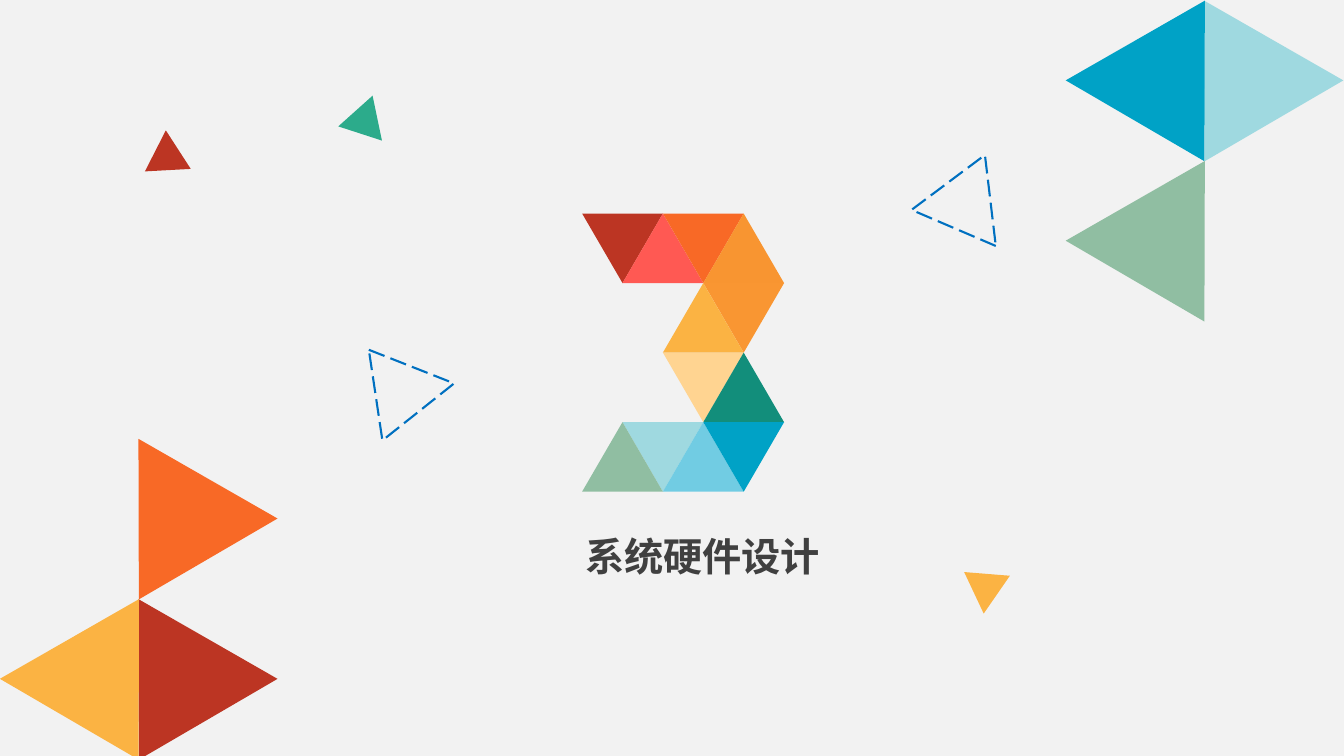
from pptx import Presentation
from pptx.dml.color import RGBColor
from pptx.enum.dml import MSO_LINE
from pptx.enum.shapes import MSO_SHAPE
from pptx.enum.text import MSO_ANCHOR, MSO_AUTO_SIZE, PP_ALIGN
from pptx.oxml.ns import qn
from pptx.util import Cm, Pt
from lxml import etree

TRIANGLE = MSO_SHAPE.ISOSCELES_TRIANGLE
LONG_DASH = MSO_LINE.LONG_DASH
TOP = MSO_ANCHOR.TOP
NO_FIT = MSO_AUTO_SIZE.NONE
CENTER = PP_ALIGN.CENTER
FONT = "Noto Sans CJK SC"

PAPER = RGBColor(0xF2, 0xF2, 0xF2)
INK = RGBColor(0x40, 0x40, 0x40)
BRICK = RGBColor(0xBC, 0x35, 0x23)
CORAL = RGBColor(0xFF, 0x59, 0x53)
ORANGE = RGBColor(0xF8, 0x69, 0x26)
TANGERINE = RGBColor(0xF8, 0x95, 0x31)
APRICOT = RGBColor(0xF9, 0x96, 0x32)
AMBER = RGBColor(0xFB, 0xB3, 0x43)
SAND = RGBColor(0xFF, 0xD4, 0x91)
TEAL = RGBColor(0x12, 0x8E, 0x7B)
GREEN = RGBColor(0x2C, 0xAB, 0x8B)
SAGE = RGBColor(0x90, 0xBE, 0xA2)
ICE = RGBColor(0x9F, 0xD9, 0xE0)
SKY = RGBColor(0x71, 0xCC, 0xE3)
CYAN = RGBColor(0x00, 0xA2, 0xC6)
BLUE = RGBColor(0x00, 0x70, 0xC0)

NUMERAL = [
    (0, 0, 180, BRICK), (0, 1, 0, CORAL), (0, 2, 180, ORANGE), (0, 3, 0, TANGERINE),
    (1, 3, 180, APRICOT), (1, 2, 0, AMBER),
    (2, 2, 180, SAND), (2, 3, 0, TEAL),
    (3, 1, 180, ICE), (3, 0, 0, SAGE), (3, 2, 0, SKY), (3, 3, 180, CYAN),
]
RIGHT_CLUSTER = [(1, 0, ICE), (0, 0, CYAN), (0, 1, SAGE)]
LEFT_CLUSTER = [(1, 1, BRICK), (0, 1, AMBER), (1, 0, ORANGE)]
CONFETTI = [
    (3.78, 3.53, 117, BRICK), (8.71, 2.67, 138.1, GREEN), (24.13, 14.2, 304.7, AMBER),
]
OUTLINES = [(9.3, 8.81, 81.5), (22.81, 4.17, 263.2)]


def add_triangle(page, left, top, width, height, angle=0, fill=None, line=None):
    """Add one triangle, filled or with a dashed outline."""
    shape = page.shapes.add_shape(TRIANGLE, Cm(left), Cm(top), Cm(width), Cm(height))
    shape.shadow.inherit = False
    shape.rotation = angle
    if fill is None:
        shape.fill.background()
    else:
        shape.fill.solid()
        shape.fill.fore_color.rgb = fill
    if line is None:
        shape.line.fill.background()
    else:
        shape.line.color.rgb = line
        shape.line.width = Pt(1.5)
        shape.line.dash_style = LONG_DASH


def write_text(frame, text, size, color, bold=False, align=CENTER):
    """Write one formatted paragraph into a text frame."""
    para = frame.paragraphs[0]
    para.alignment = align
    span = para.add_run()
    span.text = text
    span.font.name = FONT
    span.font.size = Pt(size)
    span.font.bold = bold
    span.font.color.rgb = color
    east_asian = etree.SubElement(span.font._element, qn("a:ea"))
    east_asian.set("typeface", FONT)


def draw_numeral(page, left, top, width, height):
    """Build the figure three from four rows of triangles."""
    step = width / 5
    row_height = height / 4
    for row, column, angle, color in NUMERAL:
        add_triangle(page, left + column * step, top + row * row_height,
                     2 * step, row_height, angle=angle, fill=color)


def draw_cluster(page, left, top, width, height, cells):
    """Fill a corner box with large triangles on a two by two grid."""
    side, depth = height / 2, width / 2
    for column, row, color in cells:
        add_triangle(page, left + 0.6 + column * 1.75, top + 0.79 + row * side,
                     side, depth, angle=209.8 if column else 150.2, fill=color)


def draw_confetti(page, left, top):
    """Scatter the small filled and dashed triangles."""
    for across, down, angle in OUTLINES:
        add_triangle(page, left + across, top + down, 2.31, 2, angle=angle, line=BLUE)
    for across, down, angle, color in CONFETTI:
        add_triangle(page, left + across, top + down, 1.16, 1, angle=angle, fill=color)


def place_title(page, left, top, width, height, text):
    """Move the title placeholder into its box and write the heading."""
    title = page.shapes.title
    title.left, title.top = Cm(left), Cm(top)
    title.width, title.height = Cm(width), Cm(height)
    frame = title.text_frame
    frame.word_wrap = True
    frame.auto_size = NO_FIT
    frame.vertical_anchor = TOP
    write_text(frame, text, size=28, color=INK, bold=True)


def build_section_slide(deck):
    """Add the section slide with its numeral, heading and ornaments."""
    page = deck.slides.add_slide(deck.slide_layouts[5])
    page.background.fill.solid()
    page.background.fill.fore_color.rgb = PAPER
    draw_numeral(page, 14.67, 5.38, 5.09, 7.01)
    draw_cluster(page, 26.86, 0, 7.01, 8.08, RIGHT_CLUSTER)
    draw_cluster(page, 0, 11.04, 7.01, 8.08, LEFT_CLUSTER)
    draw_confetti(page, 0, 0)
    place_title(page, 13.77, 13.28, 7.87, 1.45, "系统硬件设计")


def main():
    """Create the deck and save it."""
    deck = Presentation()
    deck.slide_width, deck.slide_height = Cm(33.87), Cm(19.05)
    build_section_slide(deck)
    deck.save("out.pptx")


if __name__ == "__main__":
    main()
